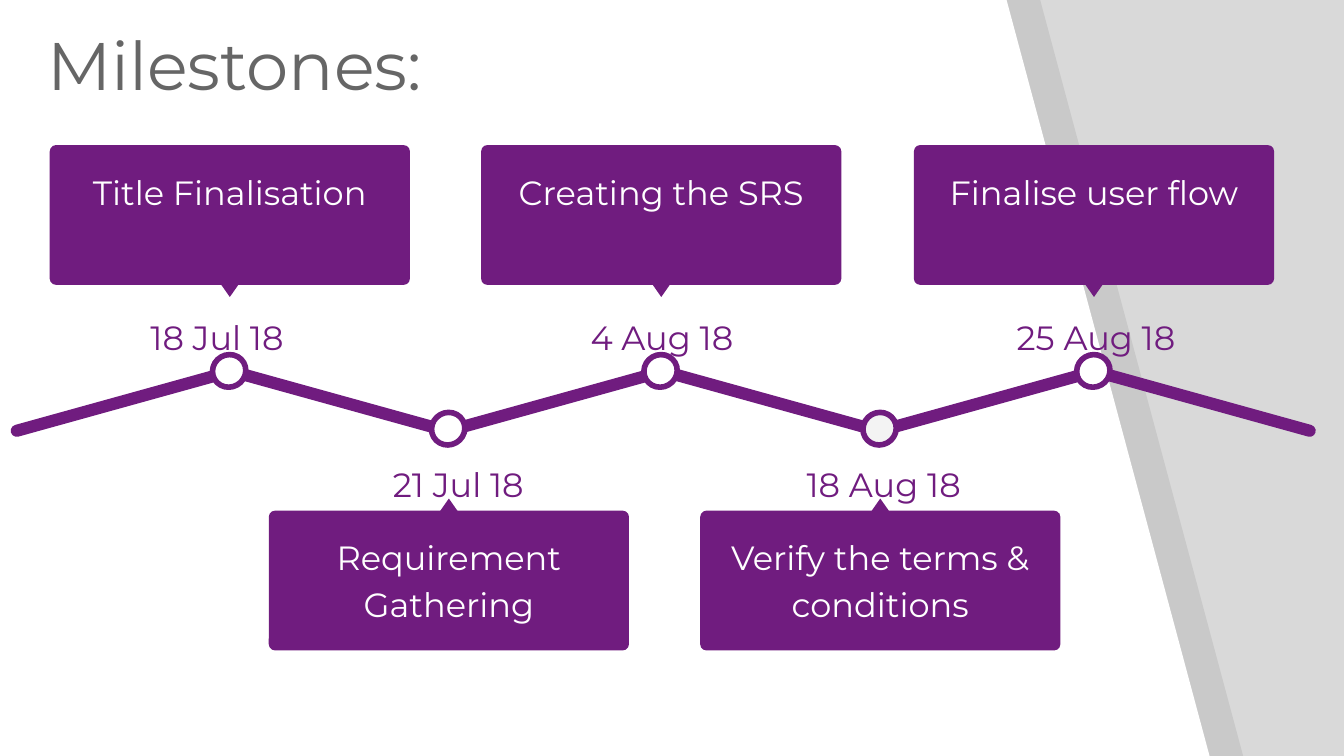
from lxml.etree import SubElement
from pptx import Presentation
from pptx.dml.color import RGBColor
from pptx.enum.shapes import MSO_SHAPE as SHAPE
from pptx.enum.text import MSO_ANCHOR, MSO_AUTO_SIZE, PP_ALIGN
from pptx.oxml.ns import qn
from pptx.util import Inches, Pt

TITLE = "Milestones:"
# text, date, centre x, date left, date width, dot colour
MILESTONES = [
    ("Title Finalisation", "18 Jul 18", 1.71, 0.98, 1.27, "white"),
    ("Requirement Gathering", "21 Jul 18", 3.34, 2.8, 1.22, "white"),
    ("Creating the SRS", "4 Aug 18", 4.92, 4.2, 1.45, "white"),
    ("Verify the terms & conditions", "18 Aug 18", 6.55, 5.84, 1.47, "pale"),
    ("Finalise user flow", "25 Aug 18", 8.14, 7.39, 1.53, "white"),
]
# tops of card, pointer, date and dot, then pointer rotation
UPPER = (1.08, 2.11, 2.21, 2.64, 180)
LOWER = (3.8, 3.71, 3.31, 3.07, 0)
COLORS = {"purple": "701C7F", "white": "FFFFFF", "pale": "F3F3F3",
          "title": "666666", "back": "D9D9D9", "black": "000000"}
FONT = "Montserrat"
SLIDE_W = 10
SLIDE_H = SLIDE_W * 9 / 16
CARD_W, CARD_H = 2.68, 1.04
SEGMENT_X, SEGMENT_STEP, SLOPE = 0.05, 1.606, 15.5


def rgb(name):
    return RGBColor.from_string(COLORS[name])


def paint(s, color):
    s.shadow.inherit = False
    s.fill.solid()
    s.fill.fore_color.rgb = rgb(color)
    s.line.fill.background()


def add_shape(kind, x, y, w, h, color, rotation=0):
    s = slide.shapes.add_shape(kind, Inches(x), Inches(y), Inches(w), Inches(h))
    paint(s, color)
    s.rotation = rotation
    return s


def write(s, text, size, color, inset=0.1):
    tf = s.text_frame
    tf.word_wrap = True
    tf.auto_size = MSO_AUTO_SIZE.NONE
    tf.vertical_anchor = MSO_ANCHOR.TOP
    tf.margin_left = tf.margin_right = Inches(inset)
    tf.margin_top = tf.margin_bottom = Inches(inset)
    p = tf.paragraphs[0]
    r = p.add_run()
    r.text = text
    r.font.size, r.font.name = Pt(size), FONT
    r.font.color.rgb = rgb(color)
    return p


def write_centred(s, text, color, inset=0.1):
    p = write(s, text, 18, color, inset)
    p.alignment = PP_ALIGN.CENTER
    p.line_spacing = 1.15
    p.space_after = Pt(16)


def add_panel(x, color, alpha=None):
    fb = slide.shapes.build_freeform(Inches(x), 0, scale=1.0)
    fb.add_line_segments([(Inches(x + dx), Inches(y)) for dx, y in
                          ((0, SLIDE_H), (9, SLIDE_H), (7.49, 0))])
    s = fb.convert_to_shape()
    paint(s, color)
    if alpha:
        clr = s._element.spPr.find(qn("a:solidFill"))[0]
        SubElement(clr, qn("a:alpha"), val=str(alpha * 1000))
    title._element.addprevious(s._element)


def add_segment(i):
    x = SEGMENT_X + i * SEGMENT_STEP
    s = add_shape(SHAPE.ROUNDED_RECTANGLE, x, 2.94, 1.74, 0.09, "purple",
                  SLOPE if i % 2 else -SLOPE)
    s.adjustments[0] = 0.5


def add_milestone(i, text, date, cx, date_x, date_w, dot):
    card_y, tip_y, date_y, dot_y, turn = LOWER if i % 2 else UPPER
    card = add_shape(SHAPE.ROUNDED_RECTANGLE, cx - CARD_W / 2, card_y,
                     CARD_W, CARD_H, "purple")
    card.adjustments[0] = 0.045
    write_centred(card, text, "white", 0.14)
    add_shape(SHAPE.ISOSCELES_TRIANGLE, cx - 0.07, tip_y, 0.14, 0.1, "purple", turn)
    label = slide.shapes.add_textbox(Inches(date_x), Inches(date_y),
                                     Inches(date_w), Inches(0.41))
    write_centred(label, date, "purple")
    s = add_shape(SHAPE.OVAL, cx - 0.13, dot_y, 0.25, 0.24, dot, -29.8)
    s.line.color.rgb = rgb("purple")
    s.line.width = Pt(3)


prs = Presentation()
prs.slide_width, prs.slide_height = Inches(SLIDE_W), Inches(SLIDE_H)
slide = prs.slides.add_slide(prs.slide_layouts[5])
slide.background.fill.solid()
slide.background.fill.fore_color.rgb = rgb("back")

title = slide.shapes.title
title.left, title.top = Inches(0.25), Inches(0.07)
title.width, title.height = Inches(3.2), Inches(0.92)
write(title, TITLE, 36, "title").alignment = PP_ALIGN.LEFT

add_panel(0.25, "black", 7)
add_panel(0, "white")

for i in range(len(MILESTONES) + 1):
    add_segment(i)
for i, milestone in enumerate(MILESTONES):
    add_milestone(i, *milestone)

prs.save("out.pptx")
